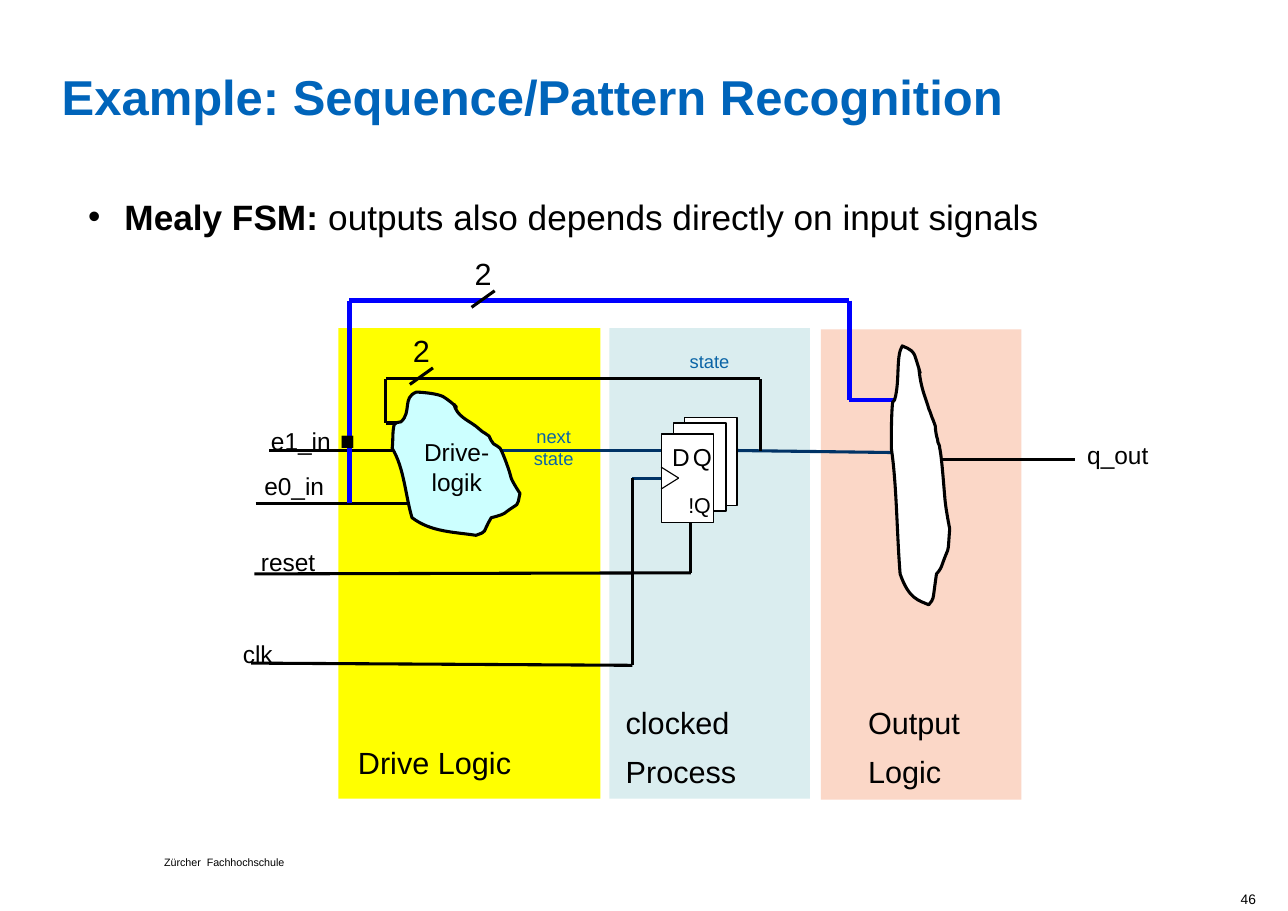
from copy import deepcopy
from dataclasses import dataclass

from lxml.etree import SubElement
from pptx import Presentation
from pptx.dml.color import RGBColor
from pptx.enum.shapes import MSO_CONNECTOR as Conn, MSO_SHAPE as Form
from pptx.enum.text import MSO_ANCHOR as Anchor, MSO_AUTO_SIZE as Fit, PP_ALIGN as Align
from pptx.oxml.ns import qn
from pptx.util import Inches, Pt


@dataclass(frozen=True)
class Theme:
    font: str = "Arial"
    black: str = "000000"
    white: str = "FFFFFF"
    title: str = "0064BA"
    state: str = "0A64A6"
    navy: str = "003366"
    blue: str = "0000FF"
    cyan: str = "CCFFFF"
    yellow: str = "FFFF00"
    teal: str = "DAEDEF"
    peach: str = "FBD7C7"
    head: int = 32
    body: int = 23
    big: int = 20
    pin: int = 16
    small: int = 14
    note: int = 12
    page: int = 9
    foot: int = 7
    dot: int = 54
    lead: int = 32
    thin: float = 0.75
    wire: float = 2
    bus: float = 3


T = Theme()

# Bezier outlines: a start point, then three points per curve
DRIVE = [
    (4.12, 3.67), (4.15, 3.78), (4.24, 3.81), (4.32, 3.87), (4.34, 3.89), (4.36, 3.9),
    (4.38, 3.92), (4.4, 3.93), (4.44, 3.96), (4.44, 3.96), (4.45, 3.98), (4.46, 4.01),
    (4.48, 4.03), (4.5, 4.05), (4.53, 4.05), (4.54, 4.07), (4.57, 4.12), (4.63, 4.29),
    (4.64, 4.34), (4.66, 4.39), (4.72, 4.48), (4.72, 4.48), (4.69, 4.62), (4.72, 4.55),
    (4.58, 4.66), (4.55, 4.68), (4.46, 4.7), (4.46, 4.7), (4.37, 4.85), (4.43, 4.82),
    (4.32, 4.86), (4.12, 4.83), (3.91, 4.83), (3.74, 4.7), (3.68, 4.5), (3.67, 4.25),
    (3.56, 4.07), (3.57, 4), (3.56, 3.92), (3.58, 3.85), (3.59, 3.83), (3.62, 3.84),
    (3.64, 3.83), (3.74, 3.74), (3.65, 3.61), (3.78, 3.56), (3.81, 3.56), (3.96, 3.57),
    (4.02, 3.6), (4.12, 3.66), (4.18, 3.74), (4.12, 3.67)]
OUTPUT = [
    (8.34, 3.34), (8.36, 3.54), (8.4, 3.6), (8.43, 3.71), (8.44, 3.73), (8.45, 3.76),
    (8.46, 3.79), (8.47, 3.81), (8.49, 3.87), (8.49, 3.87), (8.49, 3.91), (8.5, 3.96),
    (8.51, 3.99), (8.51, 4.03), (8.53, 4.03), (8.53, 4.07), (8.55, 4.16), (8.57, 4.47),
    (8.58, 4.56), (8.59, 4.65), (8.62, 4.8), (8.62, 4.8), (8.6, 5.06), (8.62, 4.93),
    (8.55, 5.13), (8.54, 5.17), (8.5, 5.21), (8.5, 5.21), (8.46, 5.49), (8.48, 5.42),
    (8.43, 5.49), (8.34, 5.45), (8.25, 5.44), (8.17, 5.21), (8.14, 4.84), (8.14, 4.4),
    (8.09, 4.07), (8.09, 3.94), (8.09, 3.79), (8.1, 3.67), (8.1, 3.63), (8.12, 3.65),
    (8.12, 3.63), (8.17, 3.46), (8.13, 3.23), (8.19, 3.14), (8.2, 3.15), (8.27, 3.16),
    (8.3, 3.22), (8.34, 3.33), (8.37, 3.46), (8.34, 3.34)]


def rgb(color):
    return RGBColor.from_string(color)


def write(para, text, size=T.pin, color=T.black, bold=False, align=Align.CENTER, lead=None):
    para.alignment = align
    para.space_before = para.space_after = Pt(0)
    if lead:
        para.line_spacing = Pt(lead)
    for i, part in enumerate(text.split("\n")):
        if i:
            para.add_line_break()
        run = para.add_run()
        run.text = part
        font = run.font
        font.name, font.size, font.bold = T.font, Pt(size), bold
        font.color.rgb = rgb(color)
    for gap in para._p.findall(qn("a:br")):
        gap.append(deepcopy(run._r.rPr))


def setup(frame, pad, wrap=True, fit=Fit.NONE):
    frame.margin_left = frame.margin_right = Inches(pad[0])
    frame.margin_top = frame.margin_bottom = Inches(pad[1])
    frame.word_wrap, frame.auto_size = wrap, fit
    frame.vertical_anchor = Anchor.TOP
    return frame.paragraphs[0]


def label(slide, text, box, pad=(0.11, 0.06), wrap=False, fit=Fit.SHAPE_TO_FIT_TEXT, **style):
    frame = slide.shapes.add_textbox(*map(Inches, box)).text_frame
    write(setup(frame, pad, wrap, fit), text, **style)


def holder(shape, box, pad):
    shape.left, shape.top, shape.width, shape.height = map(Inches, box)
    return setup(shape.text_frame, pad)


def paint(shape, fill, width=None):
    shape.shadow.inherit = False
    shape.fill.solid()
    shape.fill.fore_color.rgb = rgb(fill)
    if width:
        shape.line.color.rgb = rgb(T.black)
        shape.line.width = Pt(width)
    else:
        shape.line.fill.background()


def block(slide, box, fill, width=None):
    paint(slide.shapes.add_shape(Form.RECTANGLE, *map(Inches, box)), fill, width)


def wire(slide, *points, color=T.black, width=T.wire):
    for start, end in zip(points, points[1:]):
        line = slide.shapes.add_connector(Conn.STRAIGHT, *map(Inches, start + end))
        line.line.color.rgb = rgb(color)
        line.line.width = Pt(width)
        SubElement(line._element.spPr, qn("a:effectLst"))


def cloud(slide, points, fill):
    first, *rest = [(Inches(x), Inches(y)) for x, y in points]
    build = slide.shapes.build_freeform(*first)
    build.add_line_segments(rest, close=False)
    shape = build.convert_to_shape()
    # Join every three straight steps into one curve
    track = next(shape._element.iter(qn("a:path")))
    steps = track.findall(qn("a:lnTo"))
    for i in range(0, len(steps), 3):
        curve = SubElement(track, qn("a:cubicBezTo"))
        for step in steps[i:i + 3]:
            curve.append(step[0])
            track.remove(step)
    SubElement(track, qn("a:close"))
    paint(shape, fill, T.wire)


def heading(slide):
    title, body = slide.placeholders
    write(holder(title, (0.56, 0.69, 9.27, 0.78), (0, 0)),
          "Example: Sequence/Pattern Recognition", size=T.head, color=T.title,
          bold=True, align=Align.LEFT, lead=T.lead)
    para = holder(body, (0.69, 1.71, 10.33, 0.5), (0.11, 0.06))
    props = para._p.get_or_add_pPr()
    props.set("marL", str(Inches(0.33)))
    props.set("indent", str(-Inches(0.33)))
    SubElement(props, qn("a:buChar"), char="•")
    write(para, "Mealy FSM: ", size=T.body, bold=True, align=Align.LEFT)
    write(para, "outputs also depends directly on input signals", size=T.body, align=Align.LEFT)


def main():
    deck = Presentation()
    deck.slide_width, deck.slide_height = Inches(11.69), Inches(8.27)
    slide = deck.slides.add_slide(deck.slide_layouts[1])
    heading(slide)

    # Coloured bands
    for x, y, width, fill in ((7.45, 2.99, 1.82, T.peach), (5.53, 2.98, 1.82, T.teal),
                              (3.07, 2.98, 2.38, T.yellow)):
        block(slide, (x, y, width, 4.27), fill)

    # Signal wires
    wire(slide, (4.49, 4.09), (6, 4.09), color=T.navy)
    wire(slide, (6.69, 4.09), (8.24, 4.11), color=T.navy)
    wire(slide, (5.74, 4.34), (5.9, 4.34), color=T.navy)
    wire(slide, (5.84, 4.34), (6, 4.34), color=T.navy)
    wire(slide, (3.88, 4.09), (2.44, 4.09))
    wire(slide, (2.32, 4.57), (3.91, 4.57))
    wire(slide, (2.92, 4.34), (2.92, 4.34))
    wire(slide, (6.9, 4.09), (6.9, 3.44), (3.5, 3.44), (3.5, 3.84), (3.88, 3.84))
    wire(slide, (5.74, 4.34), (5.74, 6.04), (2.28, 6.02))
    wire(slide, (2.31, 5.21), (6.27, 5.2), (6.27, 4.74))
    wire(slide, (8.54, 4.17), (9.76, 4.17))
    wire(slide, (3.17, 4.57), (3.17, 2.73), (7.71, 2.73), (7.71, 3.63), (8.26, 3.63),
         color=T.blue, width=T.bus)

    # Logic clouds
    cloud(slide, DRIVE, T.cyan)
    cloud(slide, OUTPUT, T.white)
    label(slide, "Drive-\nlogik", (3.65, 3.91, 0.99, 0.65))

    # Stacked flip-flops
    for x, y in ((6.21, 3.79), (6.11, 3.84), (6, 3.94)):
        block(slide, (x, y, 0.48, 0.8), T.white, T.thin)
    wire(slide, (6, 4.24), (6.16, 4.34), (6, 4.44), width=T.thin)
    label(slide, "!Q", (6.11, 4.41, 0.48, 0.35), size=T.small)

    # Pin names
    for text, box in (("Q", (6.18, 3.78, 0.27, 0.5)), ("D", (5.99, 3.78, 0.27, 0.56)),
                      ("e1_in", (2.34, 3.63, 0.78, 0.53)), ("e0_in", (2.28, 4.04, 0.78, 0.53)),
                      ("reset", (2.25, 4.73, 0.73, 0.5)), ("clk", (2.09, 5.56, 0.5, 0.56)),
                      ("q_out", (9.75, 3.76, 0.79, 0.53))):
        label(slide, text, box, lead=T.lead)
    label(slide, ".", (2.96, 3.73, 0.41, 0.63), pad=(0.1, 0.05), size=T.dot, bold=True,
          align=Align.LEFT, lead=T.lead)

    # Bus widths and state names
    for x, y in ((3.72, 3.34), (4.28, 2.64)):
        wire(slide, (x, y + 0.15), (x + 0.21, y))
        label(slide, "2", (x - 0.09, y - 0.5, 0.39, 0.55), size=T.big, lead=T.lead)
    label(slide, "state", (5.7, 3.12, 1.48, 0.32), wrap=True, size=T.note, color=T.state)
    label(slide, "next\nstate", (4.73, 3.8, 0.59, 0.52), size=T.note, color=T.state)

    # Band names
    for text, box in (("Drive Logic", (3.15, 6.59, 1.61, 0.5)),
                      ("clocked\nProcess", (5.58, 6.23, 1.22, 1)),
                      ("Output\nLogic", (7.78, 6.23, 1.12, 1))):
        label(slide, text, box, pad=(0.1, 0.05), size=T.big, align=Align.LEFT, lead=T.lead)

    # Footer
    label(slide, "Zürcher  Fachhochschule", (1.49, 7.79, 1.32, 0.1), pad=(0, 0), wrap=True,
          size=T.foot, align=Align.LEFT, lead=T.foot)
    label(slide, "46", (10.07, 8.09, 1.33, 0.21), pad=(0, 0), wrap=True, fit=Fit.NONE,
          size=T.page, align=Align.RIGHT)
    deck.save("out.pptx")


if __name__ == "__main__":
    main()
